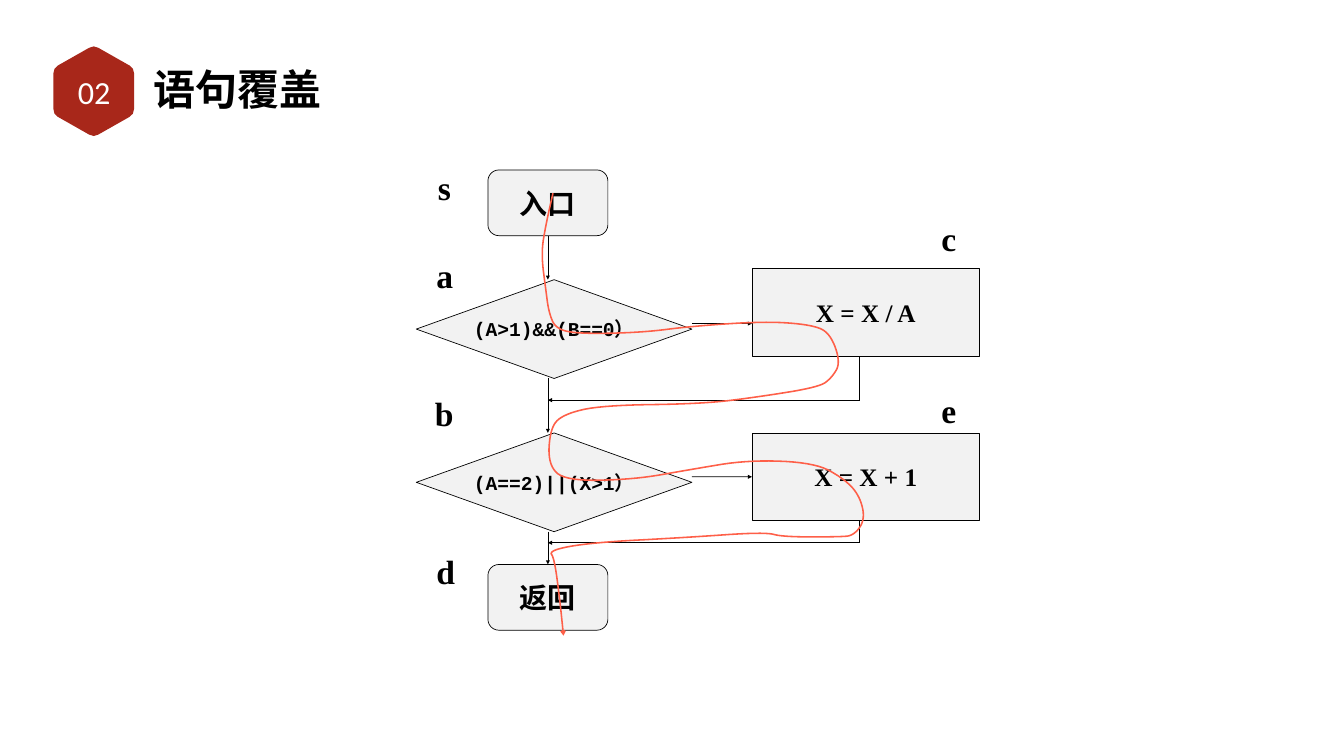
from itertools import pairwise

from lxml import etree
from pptx import Presentation
from pptx import util as u
from pptx.dml.color import RGBColor
from pptx.enum import shapes, text
from pptx.oxml.ns import qn

BLACK, WHITE, GREY, RED, CORAL = "000000", "FFFFFF", "F2F2F2", "A8271A", "FE5F48"
SERIF, MONO, CHINESE = "Times New Roman", "Courier New", "Noto Sans CJK SC"

FLOW_X, BRANCH_X = 782.7, 1228.3
TERMINAL_SIZE = (171.4, 93.9)
DECISION_SIZE = (393.8, 141.1)
PROCESS_SIZE = (325.4, 125.3)
TERMINAL_LEFT = FLOW_X - TERMINAL_SIZE[0] / 2
DECISION_LEFT, PROCESS_LEFT = 594.7, 1074.2
ENTRY_TOP, FIRST_TOP, SECOND_TOP, RETURN_TOP = 242.8, 399.6, 618.5, 806.4
BRANCH_DROP = 62.6

HEXAGON_CENTRE = (133.9, 130.3)
HEXAGON_QUARTER = [(0, 64), (6.5, 62), (51.5, 36.5), (56, 32), (57.6, 25.5)]

EXECUTION_STAGES = {
    "enter": [(790, 276), (780, 320), (773, 362), (780, 416), (784, 446), (794, 470)],
    "first condition": [(828, 477), (918, 475), (988, 466), (1094, 459)],
    "divide": [(1160, 464), (1186, 476), (1201, 518), (1188, 540), (1170, 553)],
    "first join": [(1084, 567), (1003, 577), (859, 579), (804, 592)],
    "second condition": [(786, 612), (783, 664), (808, 687), (906, 685), (985, 671), (1069, 657)],
    "increment": [(1164, 661), (1206, 684), (1228, 708), (1236, 742), (1220, 765)],
    "second join": [(1199, 767), (1118, 767), (1093, 760), (978, 768), (846, 775), (784, 786)],
    "leave": [(792, 798), (800, 859), (805, 908)],
}


def color(value):
    return RGBColor.from_string(value)


def points(values):
    return [u.Pt(value) for value in values]


def bottom_of(shape):
    return (shape.top + shape.height) / u.Pt(1)


def write(shape, content, size, font_name, font_color=BLACK, bold=True,
          align=text.PP_ALIGN.CENTER, anchor=text.MSO_ANCHOR.MIDDLE, inset=None):
    frame = shape.text_frame
    frame.text = content
    frame.auto_size = text.MSO_AUTO_SIZE.NONE
    frame.word_wrap = inset is not None
    frame.vertical_anchor = anchor
    if inset is not None:
        frame.margin_left = frame.margin_right = u.Pt(inset)
        frame.margin_top = frame.margin_bottom = u.Pt(inset)
    paragraph = frame.paragraphs[0]
    paragraph.alignment = align
    font = paragraph.runs[0].font
    font.size, font.bold, font.name = u.Pt(size), bold, font_name
    font.color.rgb = color(font_color)
    east_asian = etree.SubElement(paragraph.runs[0]._r.get_or_add_rPr(), qn("a:ea"))
    east_asian.set("typeface", CHINESE)


def add_title(slide, content):
    title = slide.shapes.title
    title.left, title.top, title.width, title.height = points((215.3, 85, 433.4, 82))
    write(title, content, 60, CHINESE, align=text.PP_ALIGN.LEFT, inset=4.3)


def add_outline(slide, vertices, close):
    start, *rest = [points(vertex) for vertex in vertices]
    builder = slide.shapes.build_freeform(*start)
    builder.add_line_segments(rest, close=close)
    shape = builder.convert_to_shape()
    shape.shadow.inherit = False
    return shape


def add_badge(slide, number):
    x, y = HEXAGON_CENTRE
    vertices = []
    for side_x, side_y in ((1, -1), (1, 1), (-1, 1), (-1, -1)):
        quarter = HEXAGON_QUARTER[::-side_x * side_y * -1]
        if side_x * side_y > 0:
            quarter = HEXAGON_QUARTER[::-1]
        else:
            quarter = HEXAGON_QUARTER
        if side_x < 0:
            quarter = quarter[::-1] if side_y == 0 else quarter
        vertices += [(x + side_x * dx, y + side_y * dy) for dx, dy in quarter]
    hexagon = add_outline(slide, vertices, True)
    hexagon.fill.solid()
    hexagon.fill.fore_color.rgb = color(RED)
    hexagon.line.fill.background()
    box = slide.shapes.add_textbox(*points((72, 92.9, 125.3, 75.6)))
    write(box, number, 46, "Calibri", WHITE, bold=False, inset=3.6)


def add_node(slide, kind, left, top, size, content, font_size, font_name=SERIF):
    shape = slide.shapes.add_shape(kind, *points((left, top, *size)))
    shape.shadow.inherit = False
    shape.fill.solid()
    shape.fill.fore_color.rgb = color(GREY)
    shape.line.color.rgb = color(BLACK)
    shape.line.width = u.Pt(1)
    write(shape, content, font_size, font_name)
    return shape


def add_terminal(slide, top, content):
    return add_node(slide, shapes.MSO_SHAPE.FLOWCHART_ALTERNATE_PROCESS,
                    TERMINAL_LEFT, top, TERMINAL_SIZE, content, 40)


def add_decision(slide, top, content):
    return add_node(slide, shapes.MSO_SHAPE.FLOWCHART_DECISION,
                    DECISION_LEFT, top, DECISION_SIZE, content, 28, MONO)


def add_process(slide, top, content):
    return add_node(slide, shapes.MSO_SHAPE.FLOWCHART_PROCESS,
                    PROCESS_LEFT, top, PROCESS_SIZE, content, 36)


def add_label(slide, content, left, top, width):
    box = slide.shapes.add_textbox(*points((left, top, width, 85.7)))
    write(box, content, 48, SERIF, align=text.PP_ALIGN.LEFT, anchor=text.MSO_ANCHOR.TOP)
    box.text_frame.auto_size = text.MSO_AUTO_SIZE.SHAPE_TO_FIT_TEXT


def add_arrowhead(shape, kind):
    etree.SubElement(shape.line._get_or_add_ln(), qn("a:tailEnd")).set("type", kind)


def add_line(slide, start, end, arrow=True):
    connector = slide.shapes.add_connector(
        shapes.MSO_CONNECTOR.STRAIGHT, *points(start + end))
    connector.line.color.rgb = color(BLACK)
    connector.line.width = u.Pt(1)
    if arrow:
        add_arrowhead(connector, "triangle")
    etree.SubElement(connector._element.spPr, qn("a:effectLst"))
    return connector


def add_branch(slide, decision, process, join_y):
    y = decision.top / u.Pt(1) + BRANCH_DROP
    across = add_line(slide, (DECISION_LEFT + DECISION_SIZE[0], y), (PROCESS_LEFT, y))
    add_line(slide, (BRANCH_X, bottom_of(process)), (BRANCH_X, join_y), arrow=False)
    add_line(slide, (BRANCH_X, join_y), (FLOW_X, join_y))
    return across


def cut_corners(vertices):
    smooth = [vertices[0]]
    for (x1, y1), (x2, y2) in pairwise(vertices):
        smooth += [(x1 + (x2 - x1) * part, y1 + (y2 - y1) * part) for part in (0.25, 0.75)]
    return smooth + [vertices[-1]]


def add_execution_path(slide):
    vertices = sum(EXECUTION_STAGES.values(), [])
    for _ in range(3):
        vertices = cut_corners(vertices)
    trace = add_outline(slide, vertices, False)
    trace.fill.background()
    trace.line.color.rgb = color(CORAL)
    trace.line.width = u.Pt(2.25)
    add_arrowhead(trace, "arrow")


def main():
    presentation = Presentation()
    presentation.slide_width, presentation.slide_height = points((1920, 1080))
    slide = presentation.slides.add_slide(presentation.slide_layouts[5])
    add_title(slide, "语句覆盖")
    add_badge(slide, "02")

    entry = add_terminal(slide, ENTRY_TOP, "入口")
    finish = add_terminal(slide, RETURN_TOP, "返回")
    first = add_decision(slide, FIRST_TOP, "(A>1)&&(B==0）")
    second = add_decision(slide, SECOND_TOP, "(A==2)||(X>1）")
    divide = add_process(slide, 383.8, "X = X / A")
    increment = add_process(slide, SECOND_TOP, "X = X + 1")

    down = [add_line(slide, (FLOW_X, bottom_of(upper)), (FLOW_X, lower.top / u.Pt(1)))
            for upper, lower in pairwise((entry, first, second, finish))]
    down[0].begin_connect(entry, 2)
    down[-1].end_connect(finish, 0)
    add_branch(slide, first, divide, 571.7)
    add_branch(slide, second, increment, 775.4).end_connect(increment, 1)

    for content, left, top, width in (
            ("s", 618.5, 235.4, 47.5), ("a", 616.3, 360.7, 55.4),
            ("b", 614.2, 557.3, 59), ("d", 616.3, 783.4, 59),
            ("c", 1337.8, 307.4, 51.1), ("e", 1337.8, 553.7, 51.1)):
        add_label(slide, content, left, top, width)
    add_execution_path(slide)
    presentation.save("out.pptx")


if __name__ == "__main__":
    main()
